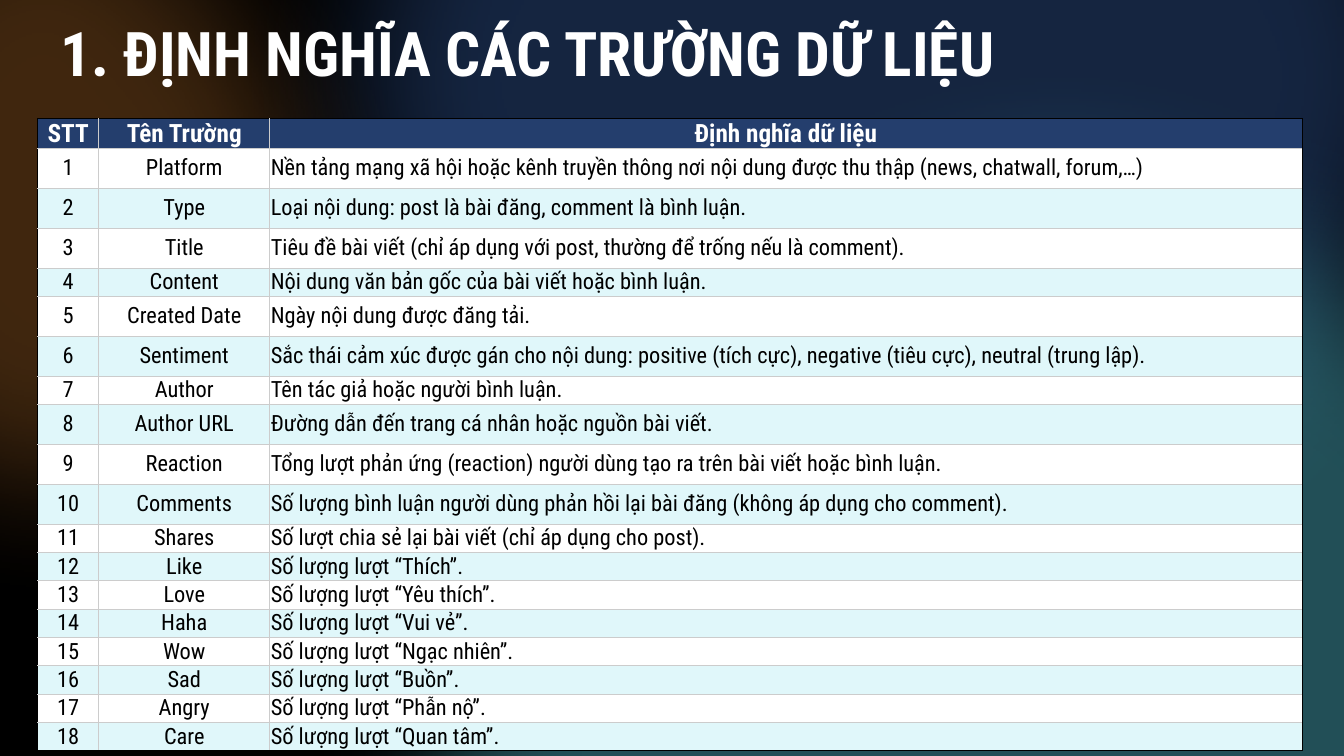
from lxml import etree
from pptx import Presentation
from pptx import util as u
from pptx.dml.color import RGBColor
from pptx.enum import shapes, text
from pptx.oxml import ns

PX = 9525
FONT = "Roboto Condensed"
BLACK, WHITE, NAVY, GRID, STRIPE = "000000", "FFFFFF", "243E6D", "CCCCCC", "E0F7FA"
COLUMNS = [58, 163, 983]
HEADER_H, TALL, SHORT = 28, 38, 27
GLOWS = [
    ((195, -580, 1308, 1308), NAVY, 60),
    ((269, 32, 1480, 1435), "398492", 60),
    ((-359, -268, 800, 901), "EF933A", 27),
]
HEADINGS = ["STT", "Tên Trường", "Định nghĩa dữ liệu"]
FIELDS = [
    ("Platform", "Nền tảng mạng xã hội hoặc kênh truyền thông nơi nội dung được thu thập (news, chatwall, forum,…)", TALL),
    ("Type", "Loại nội dung: post là bài đăng, comment là bình luận.", TALL),
    ("Title", "Tiêu đề bài viết (chỉ áp dụng với post, thường để trống nếu là comment).", TALL),
    ("Content", "Nội dung văn bản gốc của bài viết hoặc bình luận.", SHORT),
    ("Created Date", "Ngày nội dung được đăng tải.", TALL),
    ("Sentiment", "Sắc thái cảm xúc được gán cho nội dung: positive (tích cực), negative (tiêu cực), neutral (trung lập).", TALL),
    ("Author", "Tên tác giả hoặc người bình luận.", SHORT),
    ("Author URL", "Đường dẫn đến trang cá nhân hoặc nguồn bài viết.", TALL),
    ("Reaction", "Tổng lượt phản ứng (reaction) người dùng tạo ra trên bài viết hoặc bình luận.", TALL),
    ("Comments", "Số lượng bình luận người dùng phản hồi lại bài đăng (không áp dụng cho comment).", TALL),
    ("Shares", "Số lượt chia sẻ lại bài viết (chỉ áp dụng cho post).", SHORT),
    ("Like", "Số lượng lượt “Thích”.", SHORT),
    ("Love", "Số lượng lượt “Yêu thích”.", SHORT),
    ("Haha", "Số lượng lượt “Vui vẻ”.", SHORT),
    ("Wow", "Số lượng lượt “Ngạc nhiên”.", SHORT),
    ("Sad", "Số lượng lượt “Buồn”.", SHORT),
    ("Angry", "Số lượng lượt “Phẫn nộ”.", SHORT),
    ("Care", "Số lượng lượt “Quan tâm”.", SHORT),
]


def px(n):
    """Turn pixels into EMU."""
    return u.Emu(n * PX)


def paint(fill, color):
    """Give a fill one solid colour."""
    fill.solid()
    fill.fore_color.rgb = RGBColor.from_string(color)


def write(tf, words, size, color=BLACK, bold=False, align=text.PP_ALIGN.LEFT):
    """Write one formatted paragraph into a text frame."""
    p = tf.paragraphs[0]
    p.alignment = align
    r = p.add_run()
    r.text = words
    r.font.name, r.font.size, r.font.bold = FONT, u.Pt(size), bold
    r.font.color.rgb = RGBColor.from_string(color)


def add_title(s, box, words):
    """Place and format the title placeholder."""
    sp = s.shapes.title
    sp.left, sp.top, sp.width, sp.height = map(px, box)
    tf = sp.text_frame
    tf.word_wrap = True
    tf.auto_size = text.MSO_AUTO_SIZE.NONE
    tf.vertical_anchor = text.MSO_ANCHOR.MIDDLE
    write(tf, words, 44, WHITE, bold=True)


def add_glow(s, box, color, opacity):
    """Add a translucent soft-edged ellipse behind the title."""
    sp = s.shapes.add_shape(shapes.MSO_SHAPE.OVAL, *map(px, box))
    sp.shadow.inherit = False
    sp.line.fill.background()
    paint(sp.fill, color)
    clr = sp.element.find(".//" + ns.qn("a:srgbClr"))
    etree.SubElement(clr, ns.qn("a:alpha"), val=str(opacity * 1000))
    effects = sp.element.spPr.find(ns.qn("a:effectLst"))
    etree.SubElement(effects, ns.qn("a:softEdge"), rad=str(u.Pt(100)))
    s.shapes.title.element.addprevious(sp.element)


def set_borders(cell, colors):
    """Draw the left, right, top and bottom borders of a cell."""
    tc_pr = cell._tc.get_or_add_tcPr()
    for i, (side, color) in enumerate(zip("LRTB", colors)):
        ln = etree.Element(ns.qn("a:ln" + side), w=str(u.Pt(0.6)))
        solid = etree.SubElement(ln, ns.qn("a:solidFill"))
        etree.SubElement(solid, ns.qn("a:srgbClr"), val=color)
        tc_pr.insert(i, ln)


def add_field_table(s, left, top):
    """Add the table of field definitions."""
    rows = [HEADINGS] + [(str(i), *field[:2]) for i, field in enumerate(FIELDS, 1)]
    heights = [HEADER_H] + [field[2] for field in FIELDS]
    box = map(px, (left, top, sum(COLUMNS), sum(heights)))
    table = s.shapes.add_table(len(rows), len(COLUMNS), *box).table
    table.horz_banding = False
    for column, width in zip(table.columns, COLUMNS):
        column.width = px(width)
    last_row, last_col = len(rows) - 1, len(COLUMNS) - 1
    for i, (row, height) in enumerate(zip(rows, heights)):
        table.rows[i].height = px(height)
        for j, words in enumerate(row):
            cell = table.cell(i, j)
            cell.margin_left = cell.margin_right = px(1)
            cell.margin_top = cell.margin_bottom = 0
            cell.vertical_anchor = text.MSO_ANCHOR.MIDDLE
            paint(cell.fill, NAVY if i == 0 else WHITE if i % 2 else STRIPE)
            outer = (j == 0, j == last_col, i == 0, i == last_row)
            set_borders(cell, [BLACK if edge else GRID for edge in outer])
            centred = i == 0 or j < last_col
            align = text.PP_ALIGN.CENTER if centred else text.PP_ALIGN.LEFT
            if i == 0:
                write(cell.text_frame, words, 18, WHITE, bold=True, align=align)
            else:
                write(cell.text_frame, words, 16, align=align)


def main():
    """Build the slide and save it."""
    prs = Presentation()
    prs.slide_width, prs.slide_height = px(1280), px(720)
    s = prs.slides.add_slide(prs.slide_layouts[5])
    paint(s.background.fill, BLACK)
    add_title(s, (48, 9, 930, 81), "1. ĐỊNH NGHĨA CÁC TRƯỜNG DỮ LIỆU")
    for box, color, opacity in GLOWS:
        add_glow(s, box, color, opacity)
    add_field_table(s, 36, 113)
    prs.save("out.pptx")


if __name__ == "__main__":
    main()
